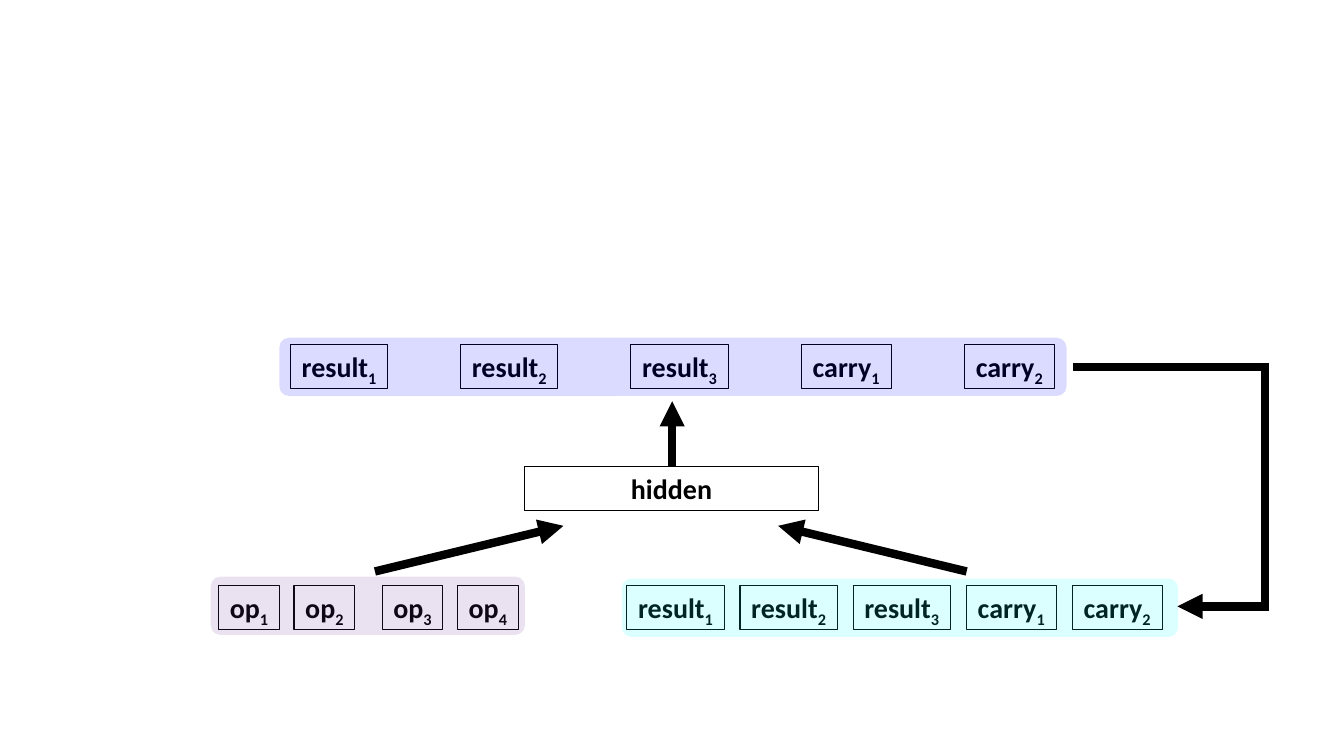
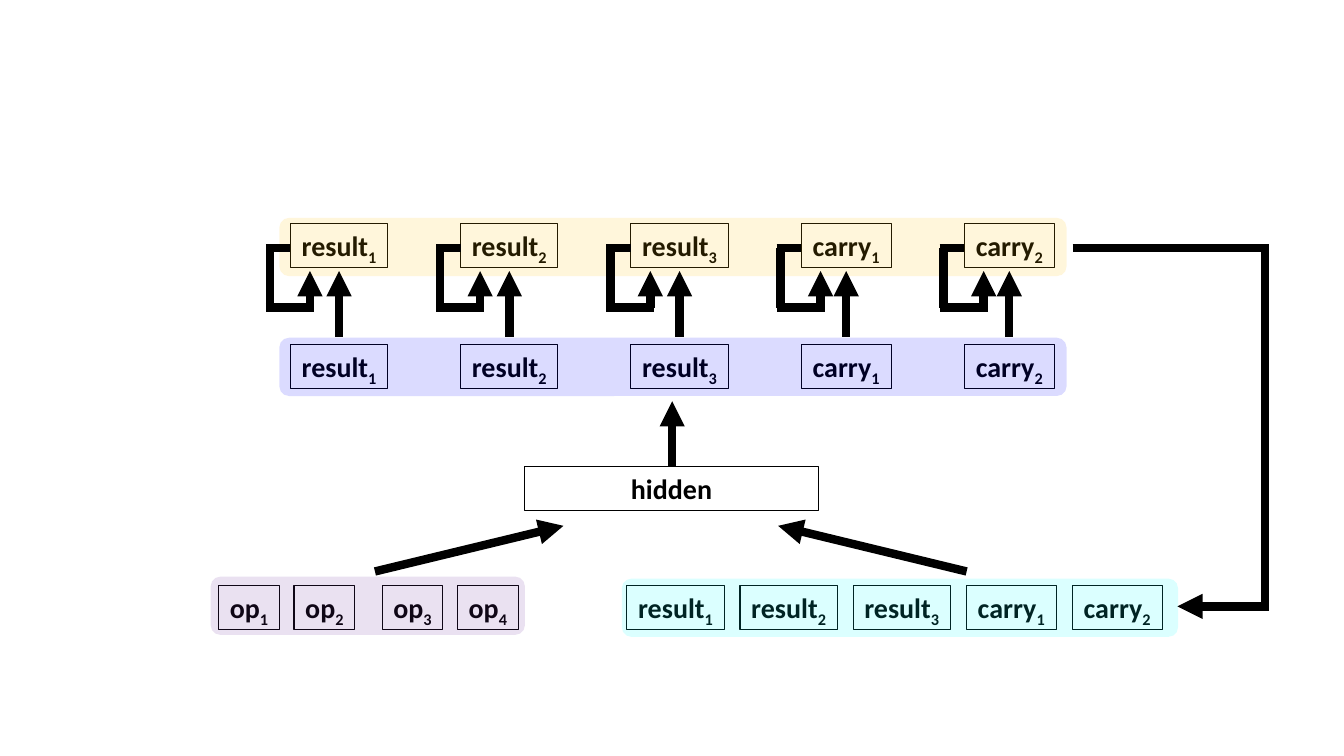
from lxml import etree
from pptx import Presentation
from pptx.dml.color import RGBColor
from pptx.enum import shapes, text
from pptx.oxml import ns
from pptx.util import Cm, Pt

BLACK = RGBColor(0x00, 0x00, 0x00)
BLUE = RGBColor(0x00, 0x00, 0xFF)
PURPLE = RGBColor(0x70, 0x30, 0xA0)
CYAN = RGBColor(0x00, 0xFF, 0xFF)
AMBER = RGBColor(0xFF, 0xC0, 0x00)

FONT = "Calibri"
BOX_HEIGHT = 1.11
BAND_HEIGHT = 1.47
BAND_OPACITY = 14
ARROW_WEIGHT = 6
HALF_WEIGHT = 0.1  # squares off the corners of bent arrows

# Box widths by label
WIDTHS = {"op": 1.53, "result": 2.45, "carry": 2.27}
STATE = [("result", "1"), ("result", "2"), ("result", "3"),
         ("carry", "1"), ("carry", "2")]

INPUT_TOP = 14.76
OUTPUT_TOP = 8.69
MEMORY_TOP = 5.64
STATE_LEFT, STATE_GAP = 7.32, 1.84
STATE_BAND_LEFT, STATE_BAND_WIDTH = 7.04, 19.84


def add_child(parent, tag, **attributes):
    return etree.SubElement(parent, ns.qn(tag), attributes)


def add_box(slide, left, top, width, label, index=""):
    """Outlined box with a bold label and an optional subscript."""
    box = slide.shapes.add_textbox(Cm(left), Cm(top), Cm(width), Cm(BOX_HEIGHT))
    box.line.color.rgb = BLACK
    box.line.width = Pt(0.75)
    box.text_frame.word_wrap = False
    paragraph = box.text_frame.paragraphs[0]
    paragraph.alignment = text.PP_ALIGN.CENTER
    for part in filter(None, (label, index)):
        run = paragraph.add_run()
        run.text = part
        run.font.name = FONT
        run.font.size = Pt(20)
        run.font.bold = True
        run.font.color.rgb = BLACK
        if part == index:
            run.font._element.set("baseline", "-25000")


def add_row(slide, left, top, gap, units):
    """Place boxes side by side and return their left edges and widths."""
    spans = []
    for label, index in units:
        width = WIDTHS[label]
        add_box(slide, left, top, width, label, index)
        spans.append((left, width))
        left += width + gap
    return spans


def add_band(slide, left, top, width, color):
    """Translucent rounded band laid over a row of boxes."""
    band = slide.shapes.add_shape(shapes.MSO_SHAPE.ROUNDED_RECTANGLE,
                                  Cm(left), Cm(top), Cm(width), Cm(BAND_HEIGHT))
    band.shadow.inherit = False
    band.line.fill.background()
    band.fill.solid()
    band.fill.fore_color.rgb = color
    tint = band._element.spPr.find(".//" + ns.qn("a:srgbClr"))
    add_child(tint, "a:alpha", val=str(BAND_OPACITY * 1000))


def add_line(slide, x1, y1, x2, y2, arrow=False):
    line = slide.shapes.add_connector(shapes.MSO_CONNECTOR.STRAIGHT,
                                      Cm(x1), Cm(y1), Cm(x2), Cm(y2))
    line.line.color.rgb = BLACK
    line.line.width = Pt(ARROW_WEIGHT)
    if arrow:
        add_child(line.line._get_or_add_ln(), "a:tailEnd", type="triangle")
    add_child(line._element.spPr, "a:effectLst")


def add_feedback(slide, top):
    """Bent arrow from the state row at height top back to the input row."""
    side, bottom = 31.88, 15.28
    add_line(slide, 27.03, top, side + HALF_WEIGHT, top)
    add_line(slide, side, top, side, bottom)
    add_line(slide, side + HALF_WEIGHT, bottom, 29.67, bottom, arrow=True)


def add_self_loop(slide, left):
    """Arrow leaving the left edge of a box and re-entering from below."""
    side, rise = left - 0.52, left + 0.49
    top, bottom, tip = 6.25, 7.75, 6.83
    add_line(slide, rise, bottom, rise, tip, arrow=True)
    add_line(slide, side - HALF_WEIGHT, bottom, rise + HALF_WEIGHT, bottom)
    add_line(slide, side, bottom, side, top)
    add_line(slide, side - HALF_WEIGHT, top, left, top)


def add_network(slide, feedback_top):
    """Inputs, hidden layer and outputs, with feedback to the inputs."""
    add_row(slide, 5.51, INPUT_TOP, 0.37, [("op", "1"), ("op", "2")])
    add_row(slide, 9.63, INPUT_TOP, 0.37, [("op", "3"), ("op", "4")])
    add_row(slide, 15.8, INPUT_TOP, 0.4, STATE)
    add_row(slide, STATE_LEFT, OUTPUT_TOP, STATE_GAP, STATE)
    add_box(slide, 13.23, 11.76, 7.39, "hidden")

    add_line(slide, 9.45, 14.4, 14.2, 13.25, arrow=True)
    add_line(slide, 24.36, 14.4, 19.61, 13.25, arrow=True)
    add_line(slide, 16.94, 11.76, 16.94, 10.11, arrow=True)
    add_feedback(slide, feedback_top)

    add_band(slide, STATE_BAND_LEFT, 8.51, STATE_BAND_WIDTH, BLUE)
    add_band(slide, 5.31, 14.53, 7.92, PURPLE)
    add_band(slide, 15.67, 14.58, 14.02, CYAN)


def add_memory(slide):
    """Upper state row, fed by the outputs and by itself."""
    spans = add_row(slide, STATE_LEFT, MEMORY_TOP, STATE_GAP, STATE)
    add_band(slide, STATE_BAND_LEFT, 5.49, STATE_BAND_WIDTH, AMBER)
    for left, width in spans:
        center = left + width / 2
        add_line(slide, center, 8.48, center, 6.83, arrow=True)
        add_self_loop(slide, left)


def main():
    deck = Presentation()
    deck.slide_width, deck.slide_height = Cm(33.87), Cm(19.05)
    blank = deck.slide_layouts[6]

    add_network(deck.slides.add_slide(blank), feedback_top=9.25)

    with_memory = deck.slides.add_slide(blank)
    add_network(with_memory, feedback_top=6.25)
    add_memory(with_memory)

    deck.save("out.pptx")


if __name__ == "__main__":
    main()
